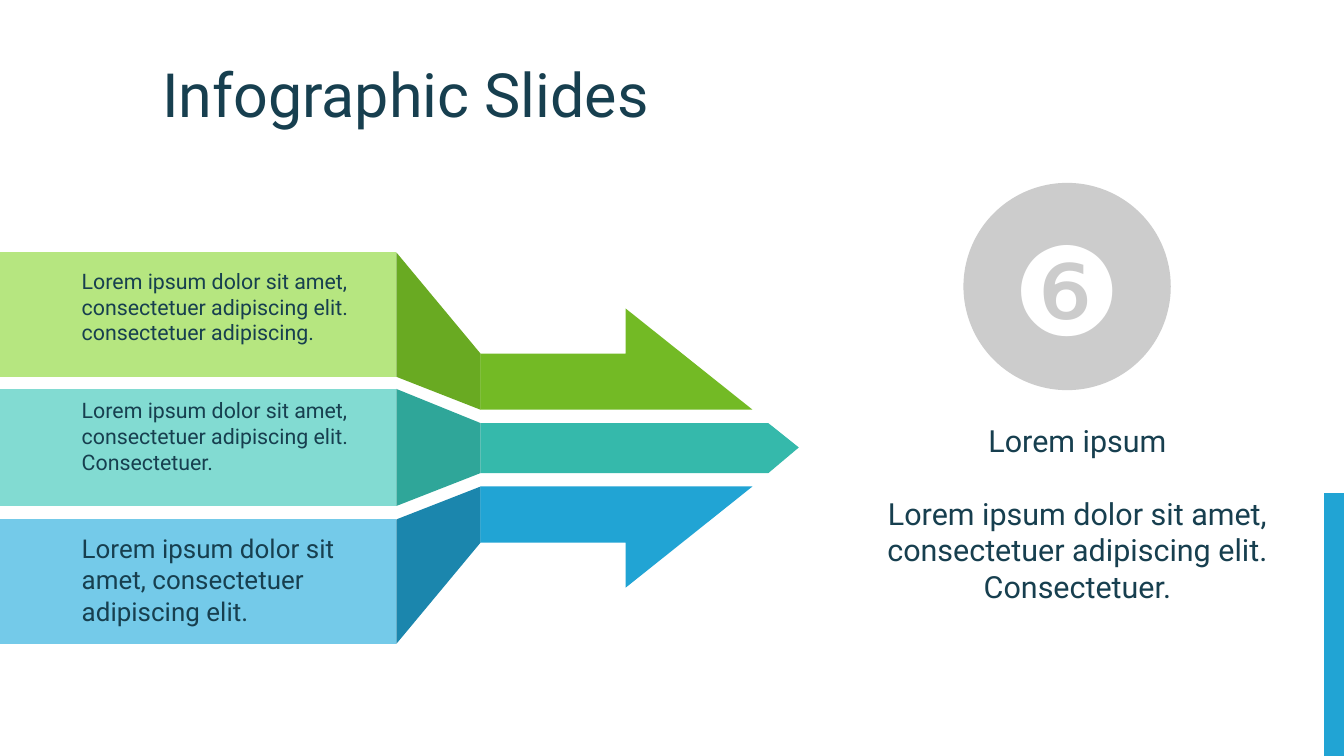
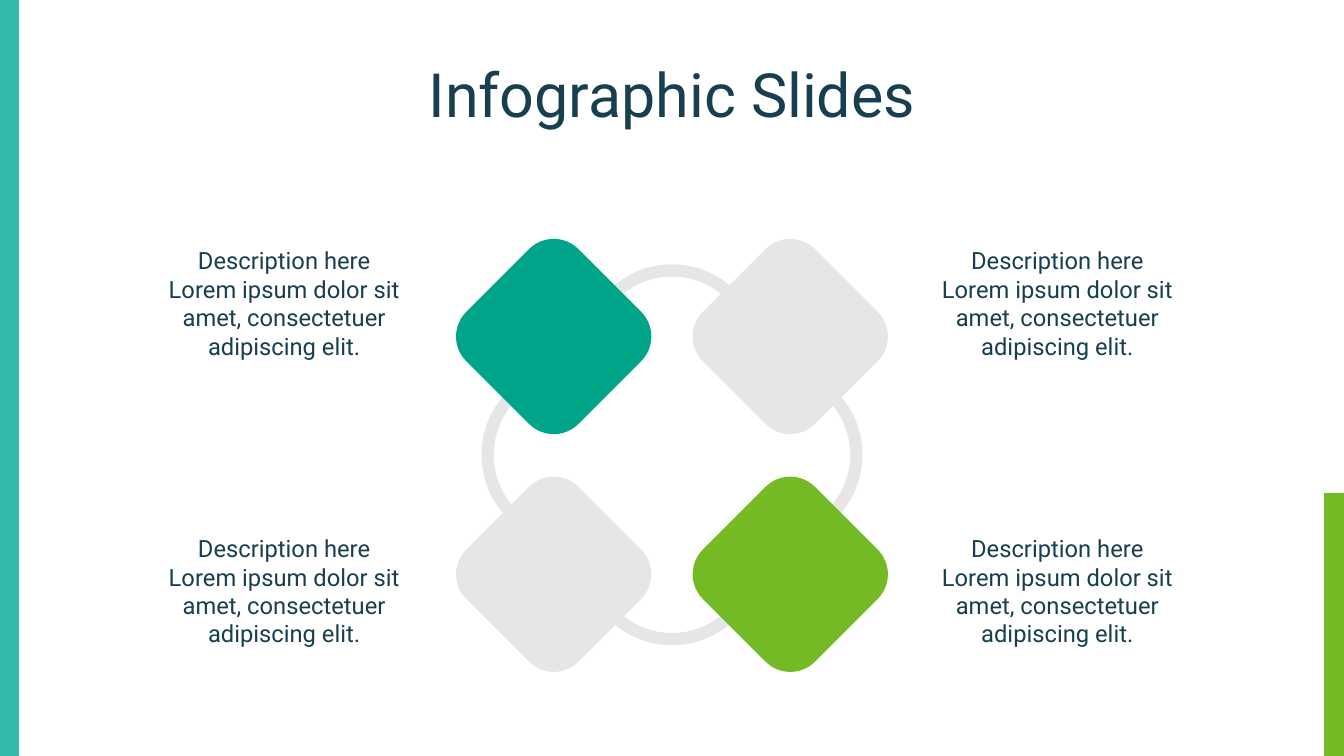
import pptx
import pptx.util
import pptx.dml.color
import pptx.enum.shapes
import pptx.enum.text
import pptx.oxml.ns
import lxml.etree

Inches = pptx.util.Inches
Pt = pptx.util.Pt
RGB = pptx.dml.color.RGBColor
KIND = pptx.enum.shapes.MSO_SHAPE
ALIGN = pptx.enum.text.PP_ALIGN
ANCHOR = pptx.enum.text.MSO_ANCHOR

WIDTH, HEIGHT = 11.02, 6.2
INK = RGB(0x17, 0x3F, 0x4F)
WHITE = RGB(0xFF, 0xFF, 0xFF)
SILVER = RGB(0xCC, 0xCC, 0xCC)
PALE = RGB(0xE6, 0xE6, 0xE6)
GREEN = RGB(0x73, 0xBA, 0x25)
TEAL = RGB(0x35, 0xB9, 0xAB)
BLUE = RGB(0x21, 0xA4, 0xD4)
JADE = RGB(0x00, 0xA4, 0x89)
GREENS = (RGB(0xB6, 0xE6, 0x80), RGB(0x69, 0xAA, 0x22), GREEN)
TEALS = (RGB(0x82, 0xDB, 0xD2), RGB(0x2F, 0xA6, 0x99), TEAL)
BLUES = (RGB(0x74, 0xCA, 0xE9), RGB(0x1B, 0x86, 0xAD), BLUE)

EDGE, FOLD, NECK, MIDDLE = 3.25, 3.94, 5.13, 3.67
OUTER = (
    ((0, 2.07), (EDGE, 2.07), (EDGE, 3.09), (0, 3.09)),
    ((EDGE, 2.07), (FOLD, 2.9), (FOLD, 3.36), (EDGE, 3.09)),
    ((FOLD, 2.9), (NECK, 2.9), (NECK, 2.53), (6.17, 3.36), (FOLD, 3.36)),
)
INNER = (
    ((0, 3.19), (EDGE, 3.19), (EDGE, 4.15), (0, 4.15)),
    ((EDGE, 3.19), (FOLD, 3.47), (FOLD, 3.88), (EDGE, 4.15)),
    ((FOLD, 3.47), (6.3, 3.47), (6.55, MIDDLE), (6.3, 3.88), (FOLD, 3.88)),
)
LOWER = [[(x, 7.35 - y) for x, y in part] for part in OUTER]

LOREM = "Lorem ipsum dolor sit amet, consectetuer adipiscing elit."
NOTES = (
    (2.2, 12.6, LOREM + " consectetuer adipiscing."),
    (3.26, 12.6, LOREM + " Consectetuer."),
    (4.37, 15.3, LOREM),
)


def place(shape, left, top, width, height):
    shape.left, shape.top = Inches(left), Inches(top)
    shape.width, shape.height = Inches(width), Inches(height)


def write(shape, *lines, size=14, color=INK, font="Roboto", align=ALIGN.CENTER,
          anchor=ANCHOR.MIDDLE, indent=0, gap=0, wrap=True):
    frame = shape.text_frame
    frame.auto_size = pptx.enum.text.MSO_AUTO_SIZE.NONE
    frame.word_wrap = wrap
    frame.vertical_anchor = anchor
    frame.margin_left = frame.margin_right = 0
    frame.margin_top = frame.margin_bottom = 0
    for i, line in enumerate(lines):
        para = frame.paragraphs[0] if i == 0 else frame.add_paragraph()
        para.text = line
        para.alignment = align
        para.space_before = Pt(gap if i else 0)
        props = para._p.get_or_add_pPr()
        props.set("marL", str(Inches(indent)))
        props.set("indent", "0")
        lxml.etree.SubElement(props, pptx.oxml.ns.qn("a:buNone"))
        para.font.name = font
        para.font.size = Pt(size)
        para.font.bold = False
        para.font.color.rgb = color


def body(holder, box, *lines, **form):
    place(holder, *box)
    write(holder, *lines, anchor=ANCHOR.TOP, indent=0.47, **form)
    holder.element.getparent().append(holder.element)


def paint(shape, color):
    shape.shadow.inherit = False
    shape.fill.solid()
    shape.fill.fore_color.rgb = color
    shape.line.fill.background()


def draw(slide, kind, box, color):
    shape = slide.shapes.add_shape(kind, *map(Inches, box))
    paint(shape, color)
    return shape


def stripe(slide, x, top, color):
    line = slide.shapes.add_connector(
        pptx.enum.shapes.MSO_CONNECTOR.STRAIGHT,
        Inches(x), Inches(top), Inches(x), Inches(HEIGHT))
    line.line.color.rgb = color
    line.line.width = Pt(14.4)
    lxml.etree.SubElement(line.element.spPr, pptx.oxml.ns.qn("a:effectLst"))


def arrow(slide, parts, colors):
    for part, color in zip(parts, colors):
        points = [(Inches(x), Inches(y)) for x, y in part]
        pen = slide.shapes.build_freeform(*points[0])
        pen.add_line_segments(points[1:], close=True)
        paint(pen.convert_to_shape(), color)


def diamond(slide, x, y, side, round_by, color):
    box = (x - side / 2, y - side / 2, side, side)
    shape = draw(slide, KIND.ROUNDED_RECTANGLE, box, color)
    shape.adjustments[0] = round_by
    shape.rotation = 45
    return shape


def start(deck, layout, left, width, accent):
    slide = deck.slides.add_slide(deck.slide_layouts[layout])
    title = slide.shapes.title
    place(title, left, 0.25, width, 1.03)
    write(title, "Infographic Slides", size=36)
    stripe(slide, 10.96, 4.04, accent)
    return slide


def arrows(deck):
    slide = start(deck, 4, 0.55, 5.55, BLUE)
    arrow(slide, OUTER, GREENS)
    arrow(slide, INNER, TEALS)
    arrow(slide, LOWER, BLUES)
    main, *rest = list(slide.placeholders)[1:]
    body(main, (6.7, 3.46, 3.8, 2), "Lorem ipsum", LOREM + " Consectetuer.",
         size=18, gap=21.5)
    for holder, (top, size, text) in zip(rest, NOTES):
        body(holder, (0.2, top, 2.9, 0.8), text, size=size, align=ALIGN.LEFT)
    disc = draw(slide, KIND.OVAL, (7.9, 1.5, 1.7, 1.7), SILVER)
    write(disc, "❻", size=72, color=WHITE, font="Arial", wrap=False)


def cycle(deck):
    slide = start(deck, 5, 0.43, 10.16, GREEN)
    stripe(slide, 0.06, 0, TEAL)
    ring = diamond(slide, 5.51, 3.73, 2.54, 0.27, PALE)
    ring.fill.background()
    ring.line.color.rgb = PALE
    ring.line.width = Pt(7.2)
    tints = ((JADE, PALE), (PALE, GREEN))
    for row, top in enumerate((1.64, 4)):
        for col, left in enumerate((1.27, 7.61)):
            diamond(slide, 4.54 + 1.94 * col, 2.76 + 1.95 * row, 1.3, 0.22,
                    tints[row][col])
            box = slide.shapes.add_textbox(*map(Inches, (left, top, 2.12, 1.69)))
            write(box, "Description here", LOREM)


def main():
    deck = pptx.Presentation()
    deck.slide_width, deck.slide_height = Inches(WIDTH), Inches(HEIGHT)
    arrows(deck)
    cycle(deck)
    deck.save("out.pptx")


if __name__ == "__main__":
    main()
